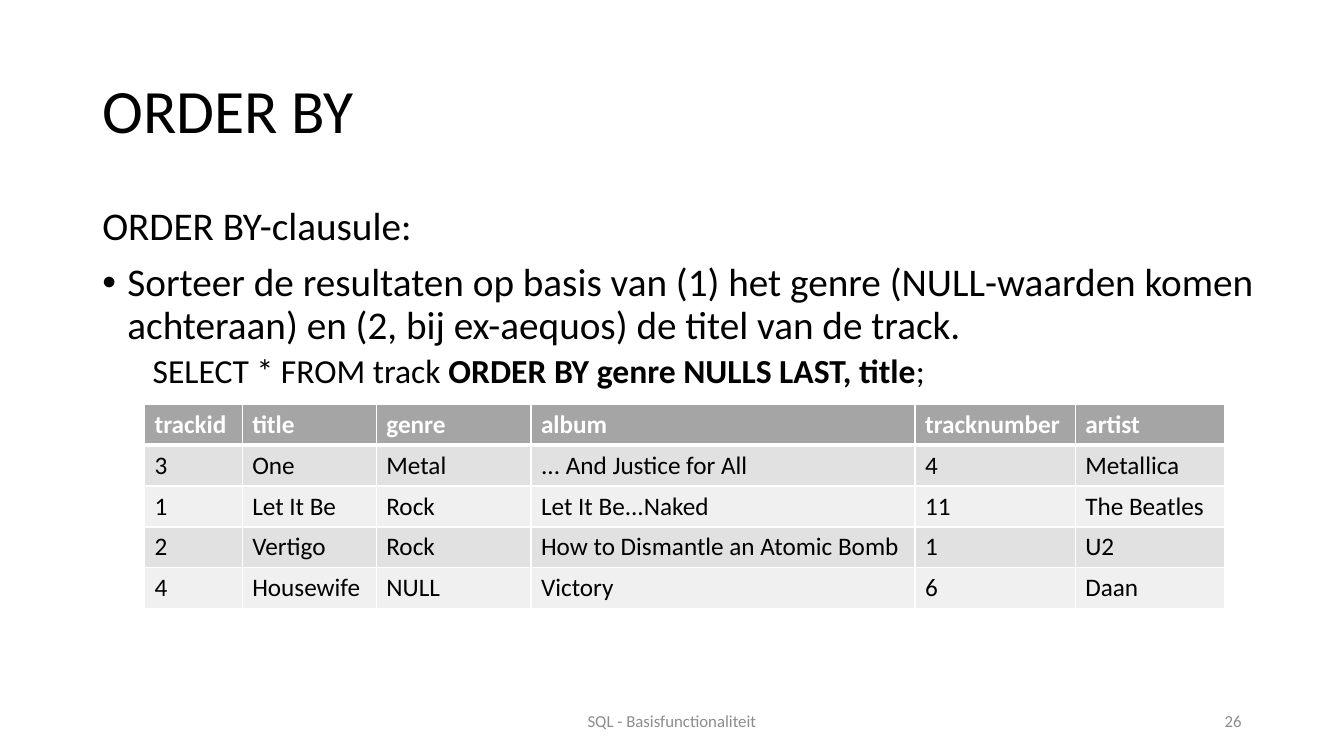
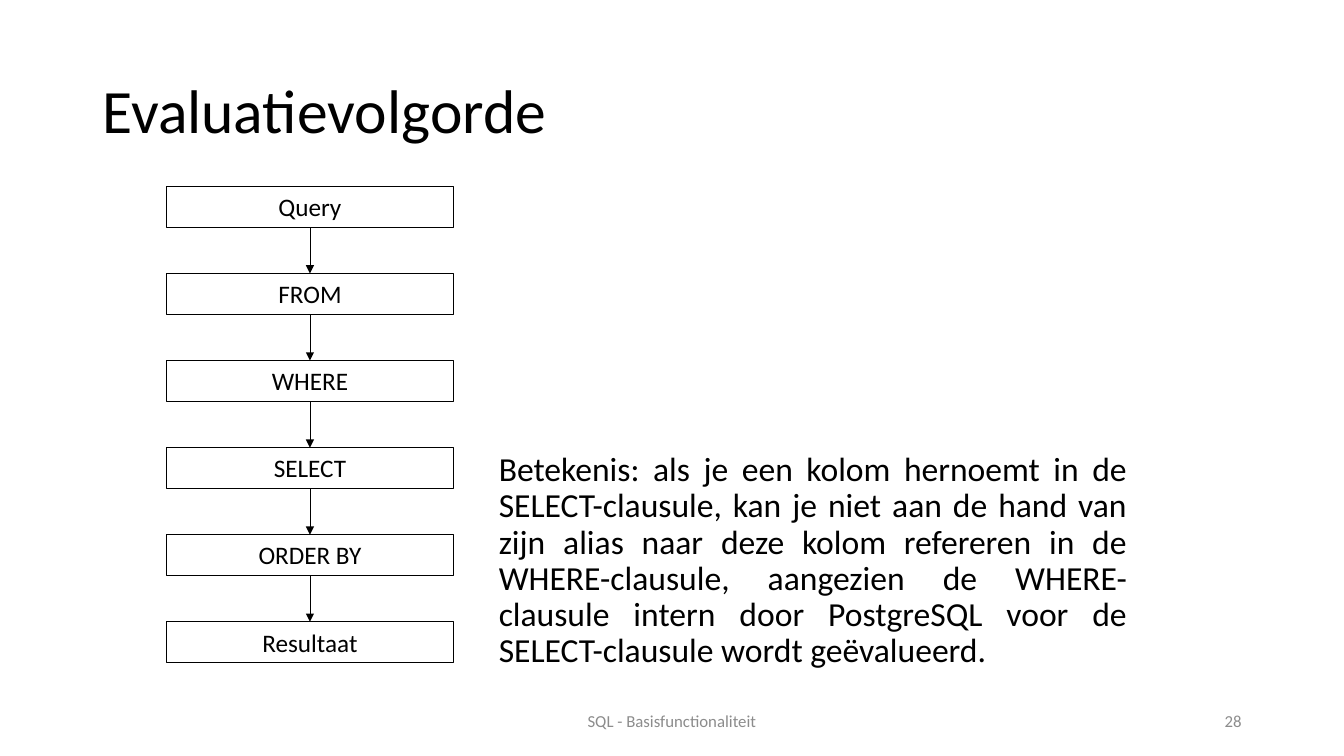
from lxml.etree import SubElement
from pptx import Presentation
from pptx.dml.color import RGBColor
from pptx.enum.shapes import MSO_CONNECTOR, MSO_SHAPE
from pptx.enum.text import MSO_ANCHOR, MSO_AUTO_SIZE, PP_ALIGN
from pptx.oxml.ns import qn
from pptx.util import Pt

FONT = "Calibri"
BLACK, WHITE, GREY = "000000", "FFFFFF", "8C8C8C"
HEADER_FILL, ROW_FILLS = "A5A5A5", ("E1E1E1", "F0F0F0")
FOOTER = "SQL - Basisfunctionaliteit"
TITLE_BOX = (66, 28.8, 828, 104.4)
FOOTER_BOX = (318, 500.5, 324, 28.8)
NUMBER_BOX = (678, 500.5, 216, 28.8)

ORDER_BY = {
    "title": "ORDER BY",
    "number": "26",
    "body": [
        {"runs": [("ORDER BY-clausule:", False)], "size": 28},
        {"runs": [("Sorteer de resultaten op basis van (1) het genre (NULL-waarden komen "
                   "achteraan) en (2, bij ex-aequos) de titel van de track.", False)],
         "size": 28, "before": 10, "margin": 18, "bullet": "•"},
        {"runs": [("SELECT * FROM track ", False),
                  ("ORDER BY genre NULLS LAST, title", True), (";", False)],
         "size": 24, "before": 5, "margin": 36},
    ],
    "rows": [
        ("trackid", "title", "genre", "album", "tracknumber", "artist"),
        ("3", "One", "Metal", "... And Justice for All", "4", "Metallica"),
        ("1", "Let It Be", "Rock", "Let It Be...Naked", "11", "The Beatles"),
        ("2", "Vertigo", "Rock", "How to Dismantle an Atomic Bomb", "1", "U2"),
        ("4", "Housewife", "NULL", "Victory", "6", "Daan"),
    ],
}
BODY_BOX = (66, 144, 845.3, 342.7)
TABLE_LEFT, TABLE_TOP, ROW_HEIGHT = 103.2, 288.8, 29.2
COLUMN_WIDTHS = (69.8, 95.8, 110.5, 274.3, 114.5, 106.7)

EVALUATION = {
    "title": "Evaluatievolgorde",
    "number": "28",
    "steps": ["Query", "FROM", "WHERE", "SELECT", "ORDER BY", "Resultaat"],
    "body": [
        {"runs": [("Betekenis: als je een kolom hernoemt in de SELECT-clausule, kan je niet "
                   "aan de hand van zijn alias naar deze kolom refereren in de WHERE-clausule, "
                   "aangezien de WHERE-clausule intern door PostgreSQL voor de SELECT-clausule "
                   "wordt geëvalueerd.", False)],
         "size": 24, "align": PP_ALIGN.JUSTIFY},
    ],
}
NOTE_BOX = (349.2, 319.7, 463, 171.4)
STEP_LEFT, STEP_TOP, STEP_WIDTH, STEP_HEIGHT, STEP_PITCH = 118.8, 133.2, 205.2, 29.1, 62.2


def color(value):
    return RGBColor.from_string(value)


def points(values):
    return [Pt(value) for value in values]


def format_font(font, size, font_color=BLACK, bold=False):
    values = {"name": FONT, "size": Pt(size), "bold": bold}
    for name, value in values.items():
        setattr(font, name, value)
    font.color.rgb = color(font_color)


def format_frame(frame, anchor=MSO_ANCHOR.TOP):
    values = {"word_wrap": True, "auto_size": MSO_AUTO_SIZE.NONE, "vertical_anchor": anchor}
    for name, value in values.items():
        setattr(frame, name, value)


def write_line(frame, text, size, font_color=BLACK, align=PP_ALIGN.LEFT, bold=False):
    """Fill a frame with one paragraph in one format."""
    paragraph = frame.paragraphs[0]
    paragraph.text = text
    paragraph.alignment = align
    format_font(paragraph.runs[0].font, size, font_color, bold)
    return paragraph


def set_indent(paragraph, margin, bullet):
    properties = paragraph._p.get_or_add_pPr()
    properties.set("marL", str(Pt(margin)))
    properties.set("indent", str(Pt(-margin if bullet else 0)))
    if bullet:
        SubElement(properties, qn("a:buFont"), typeface="Arial")
        SubElement(properties, qn("a:buChar"), char=bullet)


def add_body(slide, box, items):
    frame = slide.shapes.add_textbox(*points(box)).text_frame
    format_frame(frame)
    for index, item in enumerate(items):
        paragraph = frame.add_paragraph() if index else frame.paragraphs[0]
        set_indent(paragraph, item.get("margin", 0), item.get("bullet"))
        values = {"line_spacing": 0.9, "space_before": Pt(item.get("before", 0)),
                  "alignment": item.get("align", PP_ALIGN.LEFT)}
        for name, value in values.items():
            setattr(paragraph, name, value)
        for text, bold in item["runs"]:
            run = paragraph.add_run()
            run.text = text
            format_font(run.font, item["size"], bold=bold)


def add_slide(presentation, content):
    """Add a slide with its title, footer and number."""
    slide = presentation.slides.add_slide(presentation.slide_layouts[5])
    title = slide.shapes.title
    for name, value in zip(("left", "top", "width", "height"), points(TITLE_BOX)):
        setattr(title, name, value)
    format_frame(title.text_frame, MSO_ANCHOR.MIDDLE)
    write_line(title.text_frame, content["title"], 44).line_spacing = 0.9
    for box, text, align in ((FOOTER_BOX, FOOTER, PP_ALIGN.CENTER),
                             (NUMBER_BOX, content["number"], PP_ALIGN.RIGHT)):
        frame = slide.shapes.add_textbox(*points(box)).text_frame
        format_frame(frame, MSO_ANCHOR.MIDDLE)
        write_line(frame, text, 12, GREY, align)
    return slide


def set_borders(cell, widths):
    properties = cell._tc.get_or_add_tcPr()
    for side, width in zip("LRTB", widths):
        line = SubElement(properties, qn(f"a:ln{side}"), w=str(Pt(width)))
        fill = SubElement(line, qn("a:solidFill"))
        SubElement(fill, qn("a:srgbClr"), val=WHITE)


def add_track_table(slide, rows):
    table = slide.shapes.add_table(
        len(rows), len(COLUMN_WIDTHS),
        *points((TABLE_LEFT, TABLE_TOP, sum(COLUMN_WIDTHS), ROW_HEIGHT * len(rows)))).table
    for column, width in zip(table.columns, COLUMN_WIDTHS):
        column.width = Pt(width)
    for row_index, texts in enumerate(rows):
        table.rows[row_index].height = Pt(ROW_HEIGHT)
        header = row_index == 0
        fill = HEADER_FILL if header else ROW_FILLS[(row_index - 1) % 2]
        top, bottom = 3 if row_index == 1 else 1, 3 if header else 1
        for column_index, text in enumerate(texts):
            cell = table.cell(row_index, column_index)
            set_borders(cell, (1, 1, top, bottom))
            cell.fill.solid()
            cell.fill.fore_color.rgb = color(fill)
            write_line(cell.text_frame, text, 18, WHITE if header else BLACK, bold=header)


def add_step(slide, text, top):
    step = slide.shapes.add_shape(
        MSO_SHAPE.RECTANGLE, *points((STEP_LEFT, top, STEP_WIDTH, STEP_HEIGHT)))
    step.shadow.inherit = False
    step.fill.background()
    step.line.color.rgb = color(BLACK)
    step.line.width = Pt(0.75)
    format_frame(step.text_frame)
    write_line(step.text_frame, text, 18, align=PP_ALIGN.CENTER)
    return step


def add_arrow(slide, upper, lower):
    arrow = slide.shapes.add_connector(MSO_CONNECTOR.STRAIGHT, 0, 0, 0, 0)
    arrow.begin_connect(upper, 2)
    arrow.end_connect(lower, 0)
    arrow.line.color.rgb = color(BLACK)
    arrow.line.width = Pt(0.5)
    SubElement(arrow.line._get_or_add_ln(), qn("a:tailEnd"), type="triangle")
    SubElement(arrow._element.spPr, qn("a:effectLst"))


def main():
    presentation = Presentation()
    presentation.slide_width, presentation.slide_height = Pt(960), Pt(540)

    slide = add_slide(presentation, ORDER_BY)
    add_body(slide, BODY_BOX, ORDER_BY["body"])
    add_track_table(slide, ORDER_BY["rows"])

    slide = add_slide(presentation, EVALUATION)
    steps = [add_step(slide, text, STEP_TOP + index * STEP_PITCH)
             for index, text in enumerate(EVALUATION["steps"])]
    for upper, lower in zip(steps, steps[1:]):
        add_arrow(slide, upper, lower)
    add_body(slide, NOTE_BOX, EVALUATION["body"])

    presentation.save("out.pptx")


if __name__ == "__main__":
    main()
